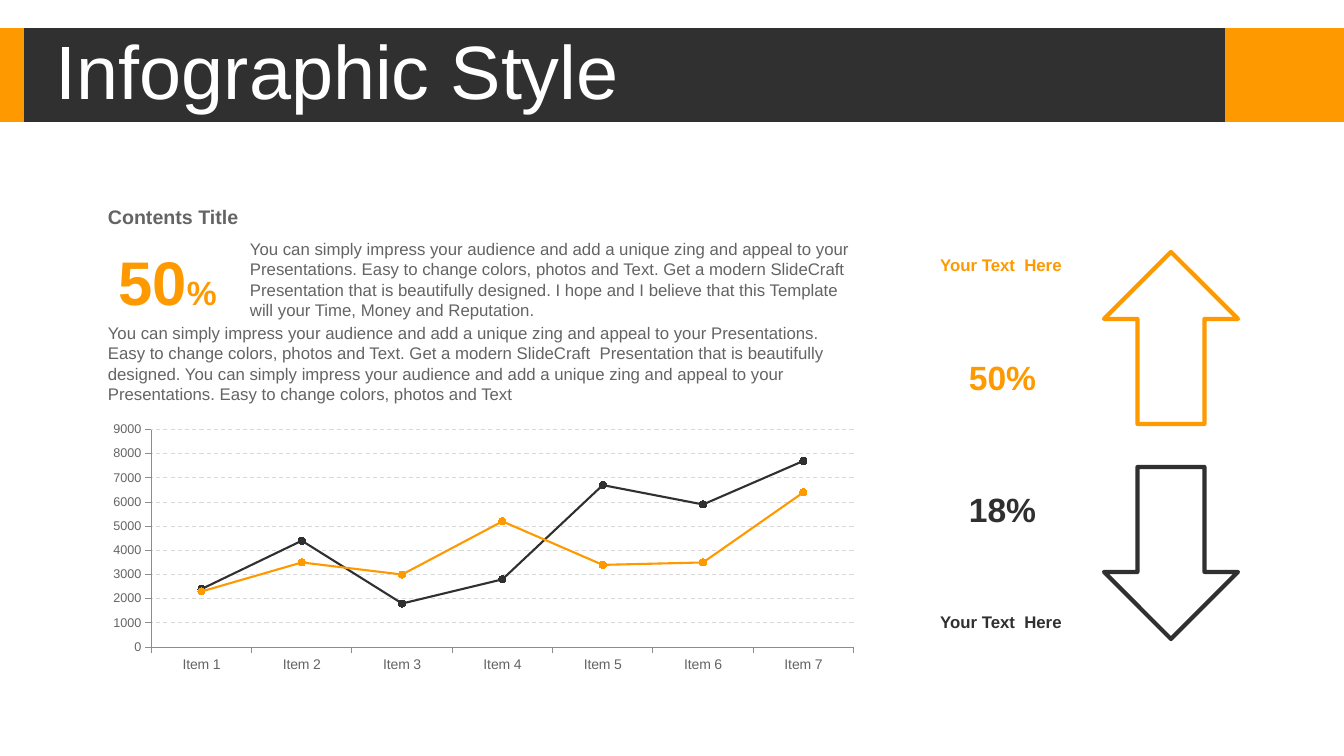
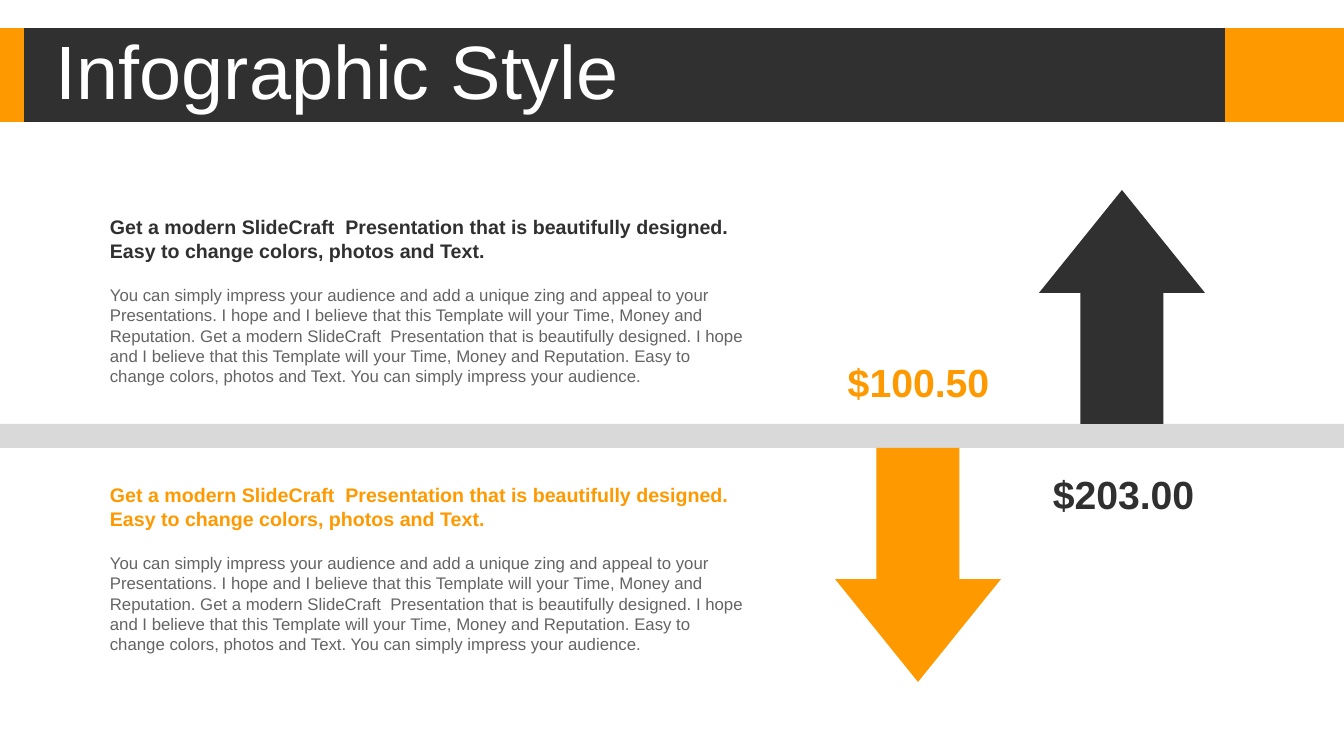
from lxml import etree
from pptx import Presentation, util as u
from pptx.chart.data import CategoryChartData
from pptx.dml.color import RGBColor
from pptx.enum import chart as charts, dml, shapes, text

PX = u.Inches(1) / 100.8
ORANGE = RGBColor(0xFE, 0x99, 0x00)
DARK = RGBColor(0x30, 0x30, 0x30)
GRAY = RGBColor(0x64, 0x64, 0x64)
AXIS = RGBColor(0x8C, 0x8C, 0x8C)
LIGHT = RGBColor(0xD9, 0xD9, 0xD9)
WHITE = RGBColor(0xFF, 0xFF, 0xFF)
FONT = "Arial"
LEFT, CENTER = text.PP_ALIGN.LEFT, text.PP_ALIGN.CENTER
TOP, MIDDLE = text.MSO_ANCHOR.TOP, text.MSO_ANCHOR.MIDDLE
RECTANGLE = shapes.MSO_SHAPE.RECTANGLE
UP, DOWN = shapes.MSO_SHAPE.UP_ARROW, shapes.MSO_SHAPE.DOWN_ARROW


def add_text(page, place, words, size, color, bold=False, align=LEFT, anchor=TOP):
    box = page.shapes.add_textbox(*[round(n * PX) for n in place])
    frame = box.text_frame
    frame.word_wrap = True
    frame.vertical_anchor = anchor
    frame.text = words
    para = frame.paragraphs[0]
    para.alignment = align
    for span in para.runs:
        span.font.name = FONT
        span.font.size = u.Pt(size)
        span.font.bold = bold
        span.font.color.rgb = color
    return para


def add_figure(page, kind, place, fill=None, line=None):
    figure = page.shapes.add_shape(kind, *[round(n * PX) for n in place])
    figure.shadow.inherit = False
    if fill is None:
        figure.fill.background()
    else:
        figure.fill.solid()
        figure.fill.fore_color.rgb = fill
    if line is None:
        figure.line.fill.background()
    else:
        figure.line.color.rgb = line
        figure.line.width = u.Pt(3)
    return figure


deck = Presentation()
deck.slide_width = round(1344 * PX)
deck.slide_height = round(756 * PX)

# Title band on every slide
pages = []
for number in range(2):
    page = deck.slides.add_slide(deck.slide_layouts[6])
    for left, width, color in [(1225, 119, ORANGE), (0, 1225, DARK), (0, 24, ORANGE)]:
        add_figure(page, RECTANGLE, (left, 28, width, 94), color)
    title = add_text(page, (46, 35, 978, 80), "Infographic Style", 54, WHITE, anchor=MIDDLE)
    title.line_spacing = 0.9
    pages.append(page)
trend_page, price_page = pages

# Slide 1: arrows with their shares and labels
for kind, color, arrow_top, share, share_top, label_top in [
    (UP, ORANGE, 252, "50%", 352, 250),
    (DOWN, DARK, 467, "18%", 484, 607),
]:
    add_figure(trend_page, kind, (1104, arrow_top, 134, 172), line=color)
    add_text(trend_page, (951, share_top, 103, 50), share, 24, color, True, CENTER, MIDDLE)
    add_text(trend_page, (917, label_top, 168, 30), "Your Text  Here", 12, color, True, CENTER)

# Slide 1: introduction
IMPRESS = "You can simply impress your audience and add a unique zing and appeal to your Presentations. "
EASY = "Easy to change colors, photos and Text"
MODERN = "Get a modern SlideCraft  Presentation that is beautifully designed. "
HOPE = "I hope and I believe that this Template will your Time, Money and Reputation."

add_text(trend_page, (98, 200, 277, 34), "Contents Title", 14, GRAY, True)
big_share = add_text(trend_page, (98, 238, 139, 85), "50", 44, ORANGE, True, CENTER, MIDDLE)
percent = big_share.add_run()
percent.text = "%"
percent.font.name = FONT
percent.font.size = u.Pt(24)
percent.font.bold = True
percent.font.color.rgb = ORANGE
add_text(trend_page, (240, 234, 628, 92), IMPRESS + EASY + ". " + MODERN + HOPE, 12, GRAY)
add_text(trend_page, (98, 318, 771, 92), IMPRESS + EASY + ". " + MODERN + IMPRESS + EASY, 12, GRAY)

# Slide 1: line chart
data = CategoryChartData()
data.categories = [f"Item {n}" for n in range(1, 8)]
data.add_series("Series 1", [2400, 4400, 1800, 2800, 6700, 5900, 7700])
data.add_series("Series 2", [2300, 3500, 3000, 5200, 3400, 3500, 6400])
place = [round(n * PX) for n in (98, 417, 771, 261)]
chart = trend_page.shapes.add_chart(charts.XL_CHART_TYPE.LINE_MARKERS, *place, data).chart
chart.has_legend = False
chart.has_title = False
chart.font.name = FONT
chart.font.size = u.Pt(10)
chart.font.color.rgb = GRAY
chart.plots[0].vary_by_categories = False

for series, color in zip(chart.plots[0].series, [DARK, ORANGE]):
    series.smooth = False
    series.format.line.color.rgb = color
    series.format.line.width = u.Pt(1.5)
    series.marker.style = charts.XL_MARKER_STYLE.CIRCLE
    series.marker.size = 5
    series.marker.format.fill.solid()
    series.marker.format.fill.fore_color.rgb = color
    series.marker.format.line.color.rgb = color

for axis, size in [(chart.category_axis, 10), (chart.value_axis, 9)]:
    axis.major_tick_mark = charts.XL_TICK_MARK.OUTSIDE
    axis.minor_tick_mark = charts.XL_TICK_MARK.NONE
    axis.format.line.color.rgb = AXIS
    axis.format.line.width = u.Pt(0.75)
    axis.tick_labels.font.name = FONT
    axis.tick_labels.font.size = u.Pt(size)
    axis.tick_labels.font.color.rgb = GRAY
values = chart.value_axis
values.minimum_scale, values.maximum_scale, values.major_unit = 0, 9000, 1000
grid = values.major_gridlines.format.line
grid.color.rgb = LIGHT
grid.width = u.Pt(0.75)
grid.dash_style = dml.MSO_LINE.DASH

# Slide 2: divider, arrows and prices
add_figure(price_page, RECTANGLE, (0, 424, 1344, 24), LIGHT)
for kind, color, left, top in [(UP, DARK, 1039, 190), (DOWN, ORANGE, 835, 448)]:
    arrow = add_figure(price_page, kind, (left, top, 166, 234), color)
    arrow.adjustments[1] = 0.62
for price, color, left, top in [("$100.50", ORANGE, 822, 353), ("$203.00", DARK, 1027, 465)]:
    add_text(price_page, (left, top, 193, 57), price, 28, color, True, CENTER, MIDDLE)

# Slide 2: text above and below the divider
story = IMPRESS + HOPE + " " + MODERN + HOPE + " " + EASY + ". You can simply impress your audience."
for top, color in [(210, DARK), (478, ORANGE)]:
    add_text(price_page, (100, top, 654, 57), MODERN + EASY + ".", 14, color, True)
    add_text(price_page, (100, top + 70, 654, 112), story, 12, GRAY)

deck.save("out.pptx")
